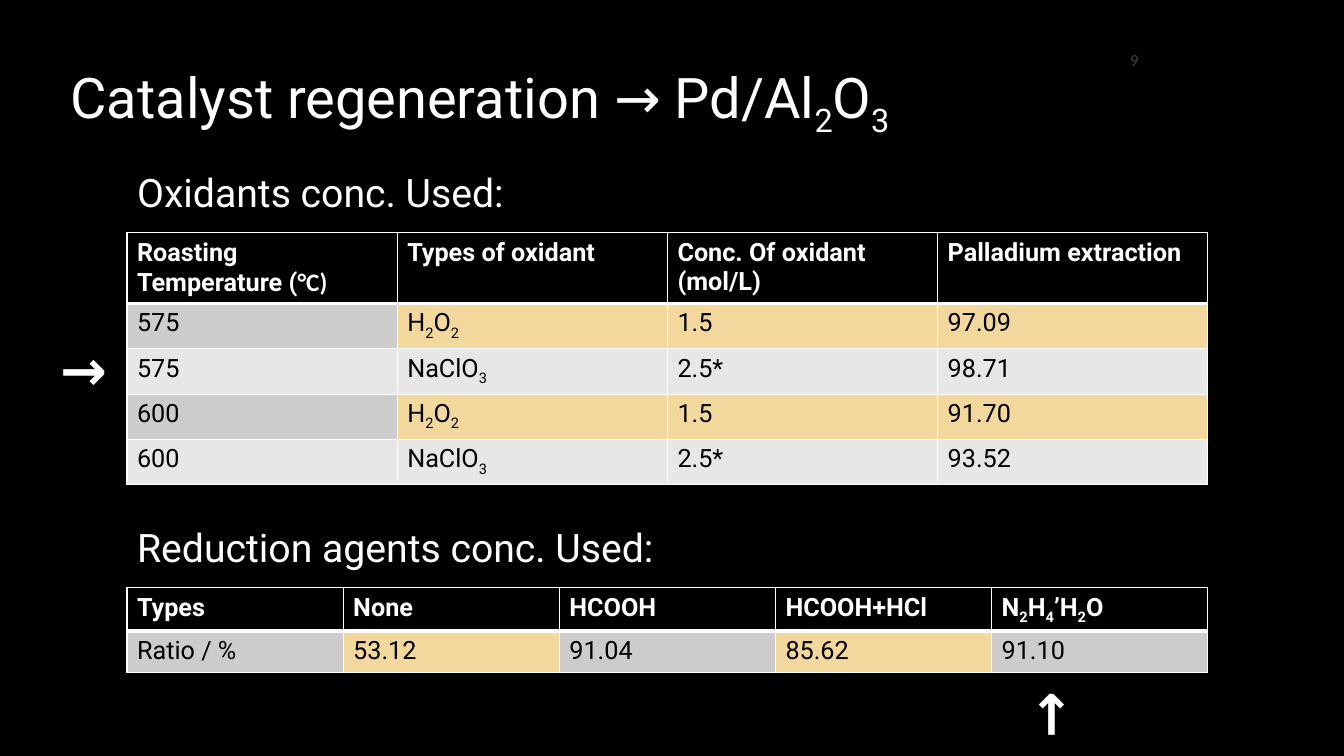
from lxml import etree
from pptx import Presentation
from pptx.dml.color import RGBColor
from pptx.enum.text import MSO_ANCHOR, MSO_AUTO_SIZE, PP_ALIGN
from pptx.oxml.ns import qn
from pptx.util import Inches, Pt

TOP = MSO_ANCHOR.TOP
NO_FIT = MSO_AUTO_SIZE.NONE
LEFT, CENTER = PP_ALIGN.LEFT, PP_ALIGN.CENTER

BLACK = RGBColor(0, 0, 0)
WHITE = RGBColor(255, 255, 255)
GREY = RGBColor(0xCC, 0xCC, 0xCC)
PALE = RGBColor(0xE7, 0xE7, 0xE7)
GOLD = RGBColor(0xF3, 0xD8, 0x9D)
DIM = RGBColor(0x40, 0x40, 0x40)

WIDTH, HEIGHT = 13.33, 7.5
EDGE, SPAN = 1.26, 10.72
HEAD, GAP = 0.53, 0.64

OXIDANTS = [
    ["Roasting Temperature (", "Types of oxidant",
     "Conc. Of oxidant (mol/L)", "Palladium extraction"],
    ["575", "H_2O_2", "1.5", "97.09"],
    ["575", "NaClO_3", "2.5*", "98.71"],
    ["600", "H_2O_2", "1.5", "91.70"],
    ["600", "NaClO_3", "2.5*", "93.52"],
]
AGENTS = [
    ["Types", "None", "HCOOH", "HCOOH+HCl", "N_2H_4’H_2O"],
    ["Ratio / %", "53.12", "91.04", "85.62", "91.10"],
]


def write(para, text, size=18, color=WHITE, bold=False, face="Roboto",
          align=LEFT, lead=None):
    """Append text to a paragraph; the character after each _ is a subscript."""
    para.alignment = align
    if lead:
        para.line_spacing = lead
    first, *rest = text.split("_")
    parts = [(first, False)]
    for part in rest:
        parts += [(part[0], True), (part[1:], False)]
    for piece, sub in parts:
        if not piece:
            continue
        run = para.add_run()
        run.text = piece
        font = run.font
        font.size, font.bold, font.name = Pt(size), bold, face
        font.color.rgb = color
        if sub:
            run._r.get_or_add_rPr().set("baseline", "-25000")


def place(shape, left, top, width, height):
    shape.left, shape.top = Inches(left), Inches(top)
    shape.width, shape.height = Inches(width), Inches(height)
    frame = shape.text_frame
    frame.word_wrap = True
    frame.auto_size = NO_FIT
    frame.vertical_anchor = TOP
    return frame.paragraphs[0]


def label(slide, box, text, turn=0, **form):
    shape = slide.shapes.add_textbox(0, 0, 0, 0)
    write(place(shape, *box), text, **form)
    shape.rotation = turn


def rule(cell, row):
    """Draw white cell borders, thick under the header row."""
    props = cell._tc.get_or_add_tcPr()
    for side in "LRTB":
        thick = (side, row) in (("B", 0), ("T", 1))
        line = etree.SubElement(props, qn("a:ln" + side),
                                w=str(Pt(3 if thick else 1)))
        fill = etree.SubElement(line, qn("a:solidFill"))
        etree.SubElement(fill, qn("a:srgbClr"), val=str(WHITE))


def grid(slide, box, data, heights, shade):
    left, top, width, height = (Inches(n) for n in box)
    table = slide.shapes.add_table(len(data), len(data[0]),
                                   left, top, width, height).table
    for row, values in enumerate(data):
        table.rows[row].height = Inches(heights[row])
        for col, value in enumerate(values):
            cell = table.cell(row, col)
            rule(cell, row)
            cell.fill.solid()
            cell.fill.fore_color.rgb = shade(row, col) if row else BLACK
            write(cell.text_frame.paragraphs[0], value, bold=row == 0,
                  color=BLACK if row else WHITE)
    return table


def section(slide, holder, top, title, data, heights, shade):
    """Place a heading and the table below it."""
    para = place(holder, EDGE, top, SPAN, HEAD)
    props = para._p.get_or_add_pPr()
    props.set("marL", "0")
    props.set("indent", "0")
    etree.SubElement(props, qn("a:buNone"))
    para.space_before = Pt(0)
    write(para, title, size=28, lead=0.9)
    return grid(slide, (EDGE, top + GAP, SPAN, sum(heights)),
                data, heights, shade)


def oxide(row, col):
    if row % 2 == 0:
        return PALE
    return GOLD if col else GREY


def agent(row, col):
    return GOLD if col % 2 else GREY


def main():
    deck = Presentation()
    deck.slide_width, deck.slide_height = Inches(WIDTH), Inches(HEIGHT)
    slide = deck.slides.add_slide(deck.slide_layouts[3])
    back = slide.background.fill
    back.solid()
    back.fore_color.rgb = BLACK

    title, upper, lower = slide.placeholders
    write(place(title, 0.6, 0.58, 12.51, 1.09),
          "Catalyst regeneration → Pd/Al_2O_3", size=40, lead=0.9)
    label(slide, (10, 0.44, 2.5, 0.83), "9", size=12, color=DIM,
          face="Calibri", align=CENTER)

    table = section(slide, upper, 1.67, "Oxidants conc. Used:", OXIDANTS,
                    [0.7] + [0.45] * 4, oxide)
    write(table.cell(0, 0).text_frame.paragraphs[0], "°C)", bold=True,
          face="Calibri")
    section(slide, lower, 5.19, "Reduction agents conc. Used:", AGENTS,
            [0.41] * 2, agent)

    for left, top, turn in ((0.5, 3.27, 0), (9.74, 6.39, 270)):
        label(slide, (left, top, 1.29, 0.77), "→", turn, size=40, bold=True)
    deck.save("out.pptx")


if __name__ == "__main__":
    main()
